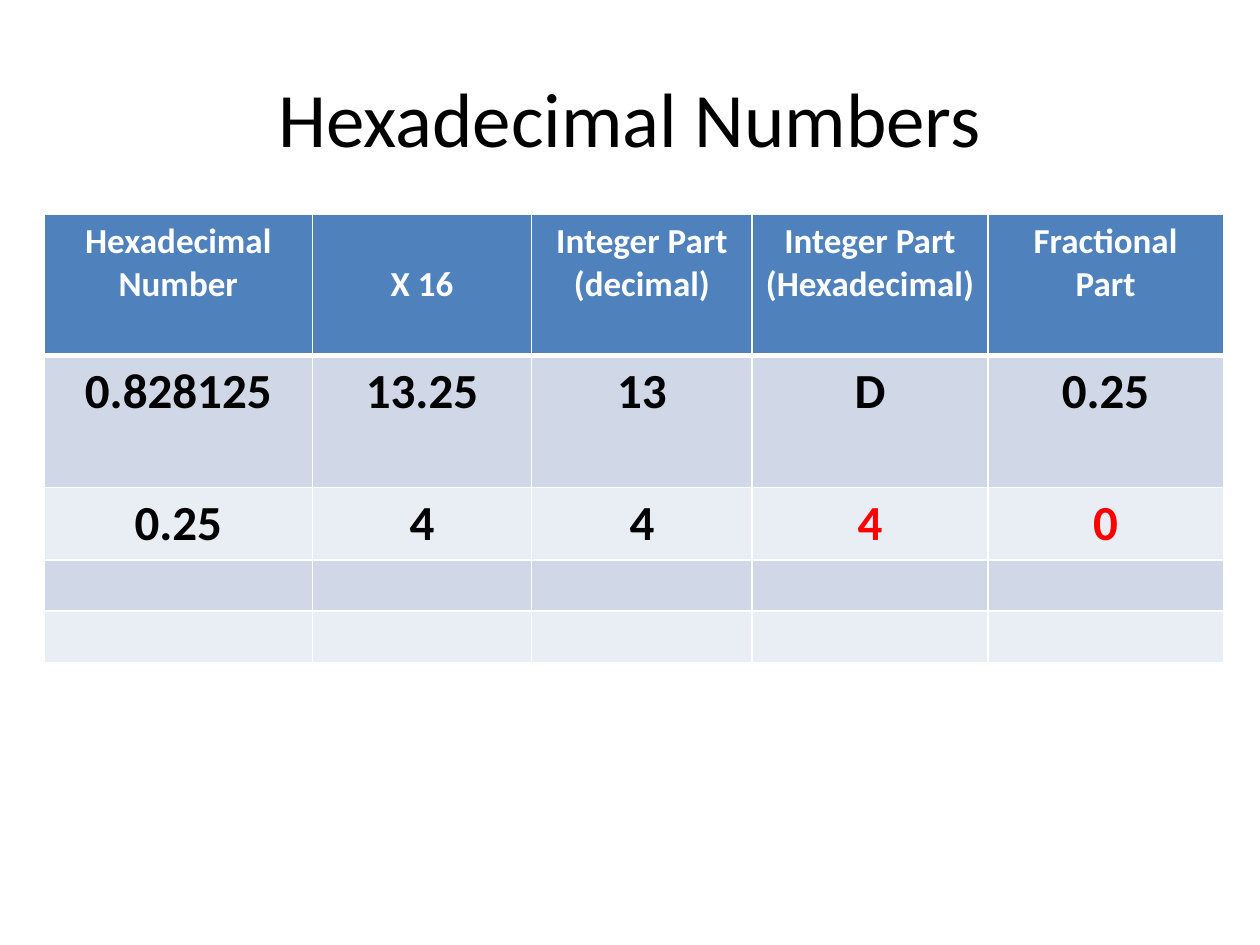
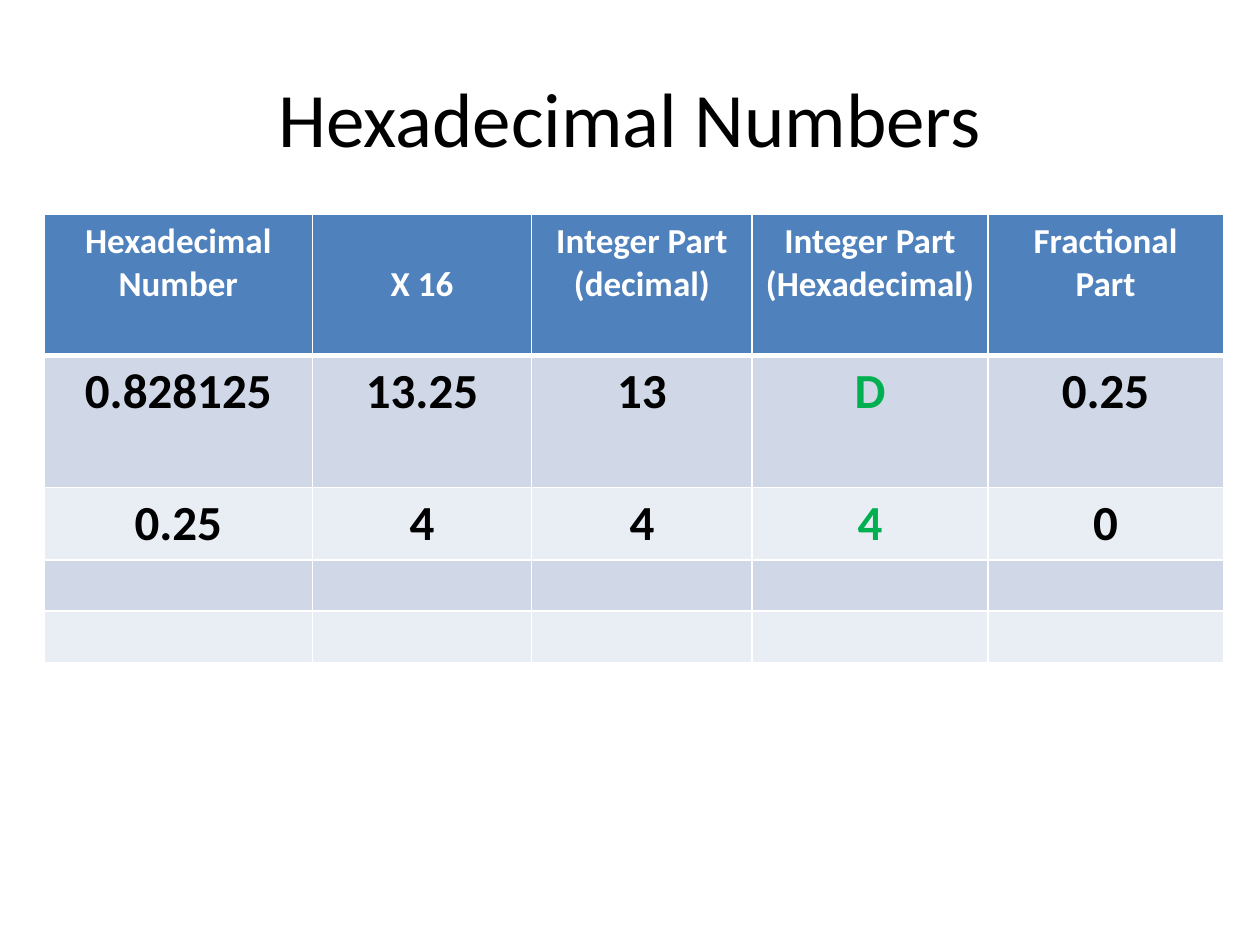
from dataclasses import dataclass, field

from lxml import etree
from pptx import Presentation
from pptx.dml.color import RGBColor
from pptx.enum.text import MSO_ANCHOR, PP_ALIGN
from pptx.oxml.ns import qn
from pptx.util import Inches, Pt

CENTER = PP_ALIGN.CENTER
TOP, MIDDLE = MSO_ANCHOR.TOP, MSO_ANCHOR.MIDDLE

WHITE = RGBColor(0xFF, 0xFF, 0xFF)
BLACK = RGBColor(0x00, 0x00, 0x00)
RED = RGBColor(0xFF, 0x00, 0x00)
GREEN = RGBColor(0x00, 0xB0, 0x50)
BLUE = RGBColor(0x4F, 0x81, 0xBD)
BANDS = (RGBColor(0xD0, 0xD8, 0xE8), RGBColor(0xE9, 0xED, 0xF4))

TITLE = "Hexadecimal Numbers"
TITLE_FONT = {"name": "Calibri", "size": Pt(44), "bold": False}
HEAD_FONT = {"name": "Calibri", "size": Pt(20), "bold": True}
BODY_FONT = {"name": "Calibri", "size": Pt(28), "bold": True}

WIDTHS = (2.13, 1.74, 1.75, 1.87, 1.87)
HEIGHTS = (1.12, 1.05, 0.57, 0.4, 0.4)
HEADS = (
    "Hexadecimal\nNumber",
    "X 16",
    "Integer Part\n(decimal)",
    "Integer Part\n(Hexadecimal)",
    "Fractional\nPart",
)
STEPS = (
    ("0.828125", "13.25", "13", "D", "0.25"),
    ("0.25", "4", "4", "4", "0"),
)


@dataclass
class Page:
    """One slide: text colours of marked cells, keyed by row and column."""
    marks: dict[tuple[int, int], RGBColor] = field(default_factory=dict)


PAGES = (
    Page({(2, 3): RED, (2, 4): RED}),
    Page({(1, 3): GREEN, (2, 3): GREEN}),
)


def write(frame, text: str, style: dict, color: RGBColor) -> None:
    """Put centred, styled lines into a text frame."""
    frame.text = text
    for para in frame.paragraphs:
        para.alignment = CENTER
        for run in para.runs:
            for key, value in style.items():
                setattr(run.font, key, value)
            run.font.color.rgb = color


def edge(cell, sides: dict[str, int]) -> None:
    """Give a cell white borders, with a width in points for each side."""
    props = cell._tc.get_or_add_tcPr()
    for side, width in sides.items():
        line = etree.SubElement(props, qn(f"a:ln{side}"), w=str(Pt(width)))
        fill = etree.SubElement(line, qn("a:solidFill"))
        etree.SubElement(fill, qn("a:srgbClr"), val=str(WHITE))


def add_title(slide) -> None:
    """Place and format the title."""
    title = slide.shapes.title
    title.left, title.top = Inches(0.5), Inches(0.3)
    title.width, title.height = Inches(9), Inches(1.25)
    title.text_frame.vertical_anchor = MIDDLE
    write(title.text_frame, TITLE, TITLE_FONT, BLACK)


def add_grid(slide, page: Page) -> None:
    """Draw the conversion table with its marked cells."""
    table = slide.shapes.add_table(
        len(HEIGHTS), len(WIDTHS), Inches(0.35), Inches(1.7),
        Inches(sum(WIDTHS)), Inches(sum(HEIGHTS))).table
    table.first_row = table.horz_banding = False
    for col, width in zip(table.columns, WIDTHS):
        col.width = Inches(width)
    for row, height in zip(table.rows, HEIGHTS):
        row.height = Inches(height)

    texts = (HEADS, *STEPS)
    for r in range(len(HEIGHTS)):
        head = r == 0
        for c in range(len(WIDTHS)):
            cell = table.cell(r, c)
            edge(cell, {"L": 1, "R": 1, "T": 3 if r == 1 else 1,
                        "B": 3 if head else 1})
            cell.fill.solid()
            cell.fill.fore_color.rgb = BLUE if head else BANDS[(r - 1) % 2]
            cell.vertical_anchor = MIDDLE if head and c == 1 else TOP
            if r < len(texts):
                color = WHITE if head else page.marks.get((r, c), BLACK)
                style = HEAD_FONT if head else BODY_FONT
                write(cell.text_frame, texts[r][c], style, color)


def main() -> None:
    """Build and save the slides."""
    deck = Presentation()
    deck.slide_width, deck.slide_height = Inches(10), Inches(7.5)
    for page in PAGES:
        slide = deck.slides.add_slide(deck.slide_layouts[5])
        add_title(slide)
        add_grid(slide, page)
    deck.save("out.pptx")


main()
